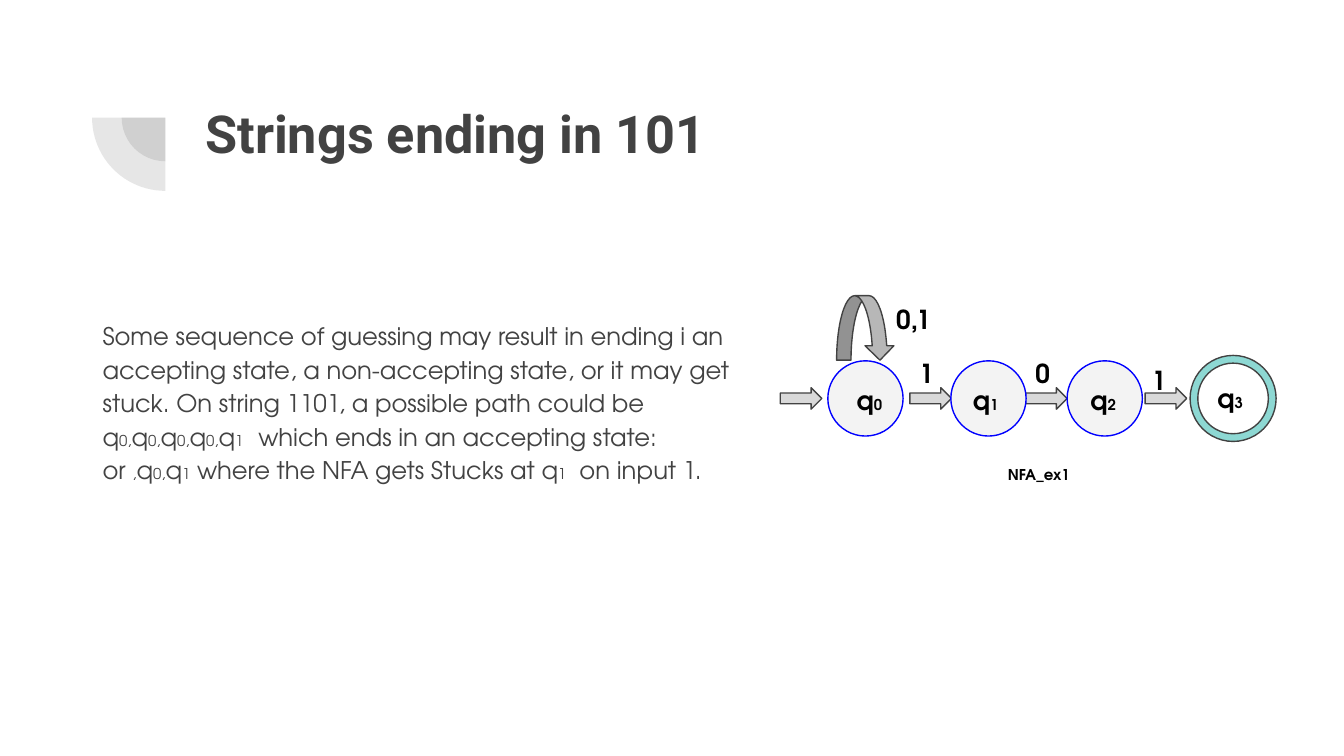
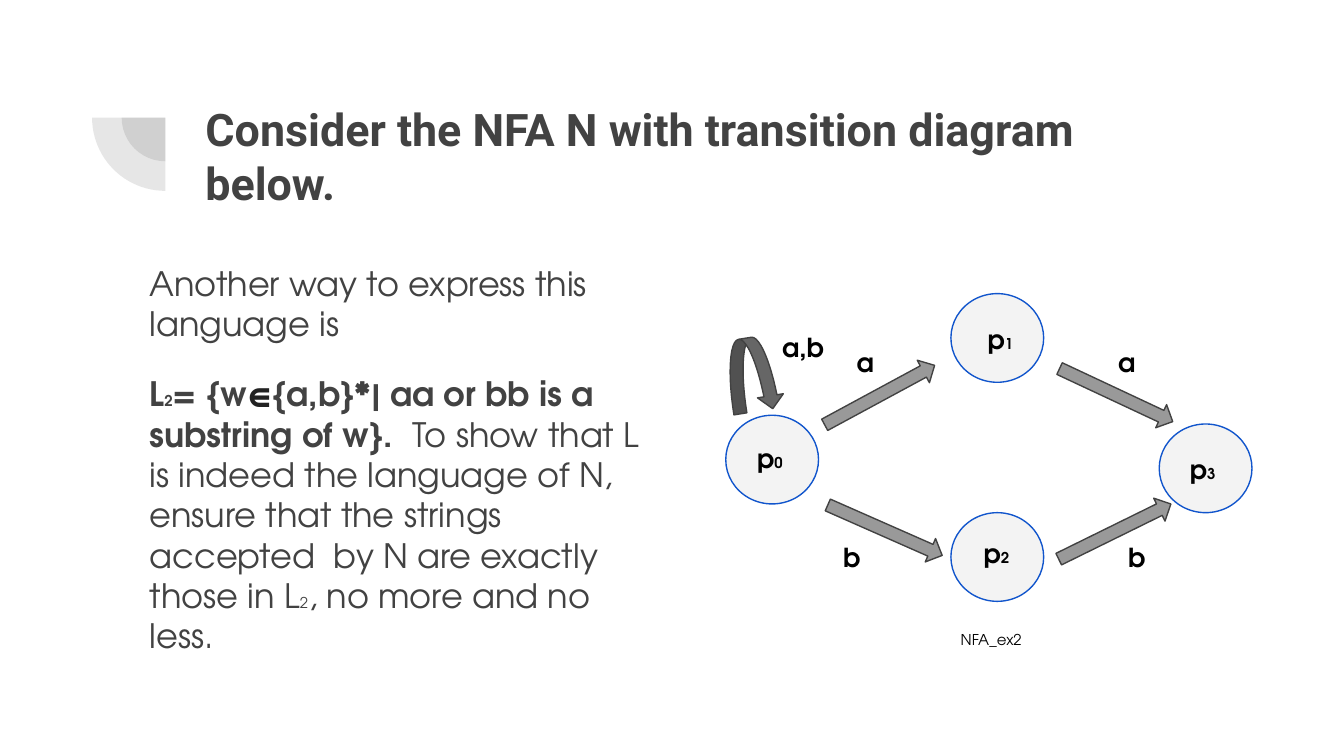
"""Builds two slides on nondeterministic finite automata."""
from dataclasses import dataclass

from lxml import etree
from pptx import Presentation
from pptx.dml.color import RGBColor
from pptx.enum.shapes import MSO_SHAPE
from pptx.oxml.ns import qn
from pptx.util import Pt

PIE = MSO_SHAPE.PIE
OVAL = MSO_SHAPE.OVAL
DONUT = MSO_SHAPE.DONUT
ARROW = MSO_SHAPE.RIGHT_ARROW
LOOP = MSO_SHAPE.CURVED_DOWN_ARROW
PX = 4572


@dataclass(frozen=True)
class Theme:
    head: str = "Roboto"
    face: str = "TeX Gyre Adventor"
    ink: str = "424242"
    black: str = "000000"
    sign: str = "222222"
    state: str = "F3F3F3"
    blue: str = "0000FF"
    navy: str = "1155CC"
    teal: str = "8DD8D3"
    pale: str = "D9D9D9"
    light: str = "B7B7B7"
    mid: str = "999999"
    dark: str = "666666"
    big: int = 28
    title: int = 24
    lead: int = 18
    label: int = 14
    body: int = 13
    sub: int = 8


T = Theme()


def text(slide, box, *paras, size=T.label, font=T.face, color=T.black,
         bold=True, line=None, before=0, after=0):
    """Add a text box; each paragraph is a list of (text, bold, color), and ~ marks subscripts."""
    frame = slide.shapes.add_textbox(*(n * PX for n in box)).text_frame
    frame.word_wrap = True
    frame.margin_left = frame.margin_right = 20 * PX
    frame.margin_top = frame.margin_bottom = 20 * PX
    for i, runs in enumerate(paras):
        para = frame.add_paragraph() if i else frame.paragraphs[0]
        para.space_before = Pt(before if i else 0)
        para.space_after = Pt(after)
        if line:
            para.line_spacing = line
        if isinstance(runs, str):
            runs = [(runs, bold, color)]
        for words, heavy, tint in runs:
            for j, bit in enumerate(words.split("~")):
                if bit:
                    run = para.add_run()
                    run.text = bit
                    run.font.name = font
                    run.font.size = Pt(T.sub if j % 2 else size)
                    run.font.bold = heavy
                    run.font.color.rgb = RGBColor.from_string(tint)


def shape(slide, kind, box, fill, line=T.ink, turn=0, adj=(), alpha=None):
    """Add a flat preset shape."""
    item = slide.shapes.add_shape(kind, *(n * PX for n in box))
    item.shadow.inherit = False
    item.rotation = turn
    for i, value in enumerate(adj):
        item.adjustments[i] = value
    item.fill.solid()
    item.fill.fore_color.rgb = RGBColor.from_string(fill)
    if alpha:
        tint = item.element.spPr.find(".//" + qn("a:srgbClr"))
        etree.SubElement(tint, qn("a:alpha"), val=str(alpha * 1000))
    if line:
        item.line.color.rgb = RGBColor.from_string(line)
        item.line.width = Pt(0.75)
    else:
        item.line.fill.background()


deck = Presentation()
deck.slide_width = 2000 * PX
deck.slide_height = 1125 * PX

pages = []
for title, size in (
    ("Strings ending in 101", T.big),
    ("Consider the NFA N with transition diagram below.", T.title),
):
    page = deck.slides.add_slide(deck.slide_layouts[6])
    for x, y, d in ((181, 110, 130), (137, 66, 218)):
        shape(page, PIE, (x, y, d, d), T.ink, line=None, turn=270,
              adj=(107.93, 162), alpha=13)
    text(page, (286, 131, 1538, 218), title, size=size, font=T.head, color=T.ink)
    pages.append(page)
first, second = pages

text(
    first, (133, 452, 994, 450),
    "Some sequence of guessing may result in ending i an accepting state, "
    "a non-accepting state, or it may get stuck. On string 1101, a possible "
    "path could be q~0,~q~0,~q~0,~q~0,~q~1  ~ which ends in an accepting "
    "state: or ~,~q~0,~q~1~ where the NFA gets Stucks at q~1~  on input 1.",
    size=T.body, color=T.ink, bold=False, line=1.15, after=16,
)
for x in (1161, 1354, 1526, 1704):
    shape(first, ARROW, (x, 577, 62, 32), T.pale)
for x in (1232, 1415, 1588):
    shape(first, OVAL, (x, 537, 112, 112), T.state, line=T.blue)
shape(first, DONUT, (1771, 529, 128, 128), T.teal, adj=(0.09,))
shape(first, LOOP, (1245, 440, 86, 96), T.light)
for i, (x, y) in enumerate(((1255, 552), (1428, 552), (1603, 552), (1792, 549))):
    text(first, (x, y, 86, 112), f"q~{i}~")
for mark, x, y, w in (("0,1", 1314, 432, 128), ("1", 1348, 512, 76),
                      ("0", 1521, 512, 76), ("1", 1694, 522, 76)):
    text(first, (x, y, w, 56), mark)
text(first, (1480, 679, 204, 56), "NFA_ex1", size=T.sub)

text(
    second, (203, 371, 798, 620),
    "Another way to express this language is",
    [
        ("L~2~= {w", True, T.ink),
        ("∈", True, T.sign),
        ("{a,b}*| aa or bb is a substring of w}.  ", True, T.ink),
        ("To show that L is indeed the language of N, ensure that the strings "
         "accepted  by N are exactly those in L~2~, no more and no less.",
         False, T.ink),
    ],
    size=T.lead, color=T.ink, bold=False, before=16,
)
for i, (x, y, left, top) in enumerate((
    (1080, 618, 1107, 638), (1415, 437, 1450, 462),
    (1415, 763, 1444, 780), (1725, 631, 1751, 655),
)):
    shape(second, OVAL, (x, y, 138, 132), T.state, line=T.navy)
    text(second, (left, top, 94, 80), f"p~{i}~")
for x, y, turn in ((1216, 569, 331.6), (1568, 569, 25.1),
                   (1224, 770, 23.8), (1566, 772, 333.8)):
    shape(second, ARROW, (x, y, 186, 38), T.mid, turn=turn)
shape(second, LOOP, (1083, 502, 78, 110), T.dark, turn=350.9)
for mark, x, y, w in (("a,b", 1144, 473, 124), ("a", 1255, 496, 96),
                      ("a", 1644, 496, 96), ("b", 1659, 786, 96),
                      ("b", 1235, 786, 96)):
    text(second, (x, y, w, 68), mark)
text(second, (1410, 925, 164, 68), "NFA_ex2", size=T.sub, bold=False)

deck.save("out.pptx")
